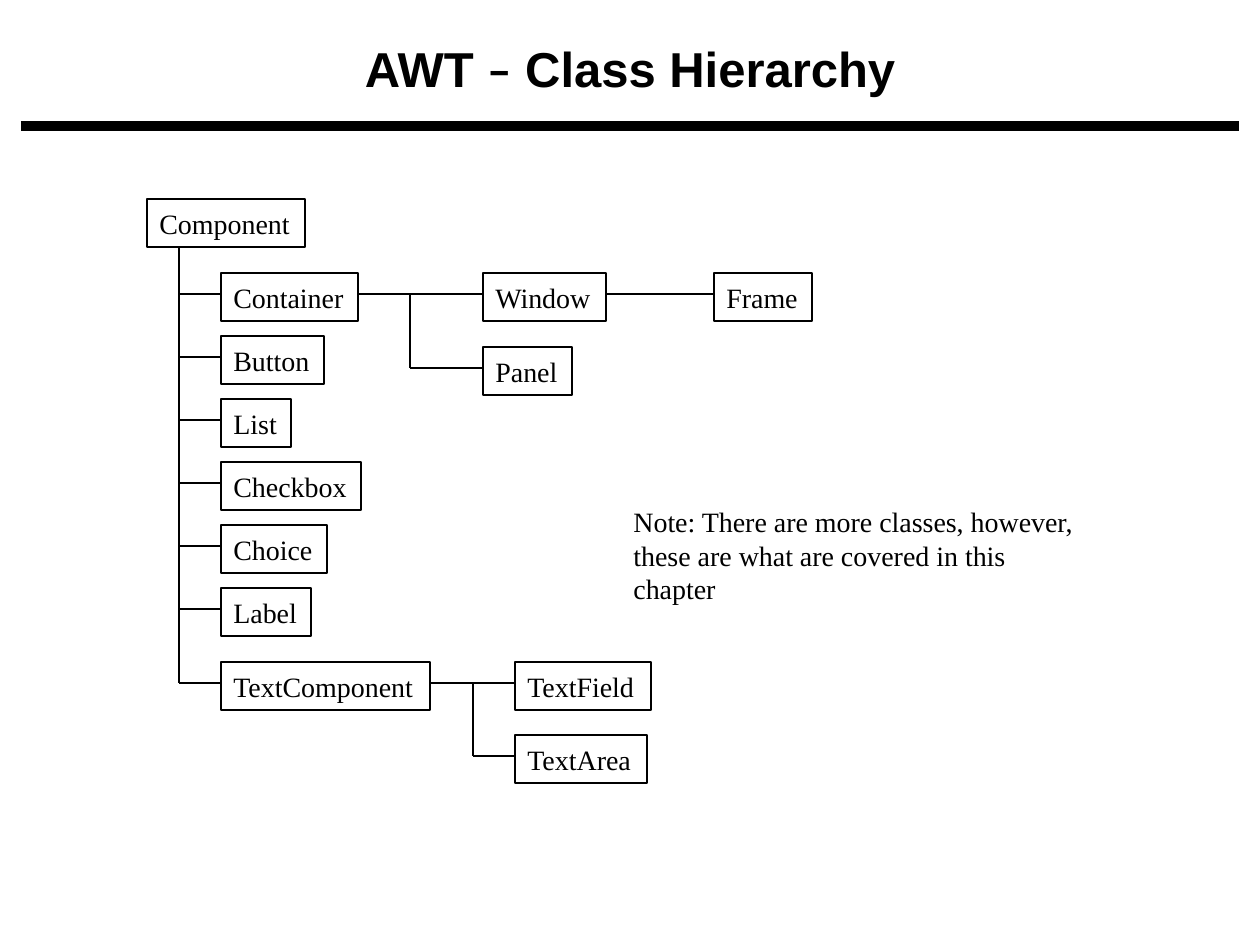
from pptx import Presentation
from pptx.dml.color import RGBColor
from pptx.enum.shapes import MSO_CONNECTOR, MSO_SHAPE
from pptx.enum.text import MSO_ANCHOR, MSO_AUTO_SIZE, PP_ALIGN
from pptx.oxml.ns import qn
from pptx.util import Pt
from lxml.etree import SubElement

PX = 7257.14  # EMU per pixel at 126 pixels to the inch
BLACK, WHITE = "000000", "FFFFFF"
BODY_FONT = "Times New Roman"
BOX_HEIGHT, LINE_DROP = 48, 21

# Content
TITLE = [("AWT ", "Arial"), ("–", "Calibri"), (" Class Hierarchy", "Arial")]
NOTE = ["Note: There are more classes, however,",
        "these are what are covered in this chapter"]
CLASSES = {  # name: (left, top, width)
    "Component": (147, 199, 158),
    "Container": (221, 273, 137),
    "Button": (221, 336, 103),
    "List": (221, 399, 70),
    "Checkbox": (221, 462, 140),
    "Choice": (221, 525, 106),
    "Label": (221, 588, 90),
    "TextComponent": (221, 662, 209),
    "Window": (483, 273, 123),
    "Panel": (483, 347, 89),
    "Frame": (714, 273, 98),
    "TextField": (515, 662, 136),
    "TextArea": (515, 735, 132),
}
BRANCHES = [  # parent, x of the vertical trunk, children
    ("Component", 179, ["Container", "Button", "List", "Checkbox",
                        "Choice", "Label", "TextComponent"]),
    ("Container", 410, ["Window", "Panel"]),
    ("Window", 660, ["Frame"]),
    ("TextComponent", 473, ["TextField", "TextArea"]),
]


def px(*values):
    return [round(value * PX) for value in values]


def color(value):
    return RGBColor.from_string(value)


def add_line(x1, y1, x2, y2, width=0.75):
    line = slide.shapes.add_connector(MSO_CONNECTOR.STRAIGHT, *px(x1, y1, x2, y2))
    line.line.color.rgb = color(BLACK)
    line.line.width = Pt(width)
    SubElement(line._element.spPr, qn("a:effectLst"))


def set_text(shape, lines):
    frame = shape.text_frame
    frame.word_wrap = False
    frame.vertical_anchor = MSO_ANCHOR.MIDDLE
    frame.text = "\n".join(lines)
    for paragraph in frame.paragraphs:
        paragraph.alignment = PP_ALIGN.LEFT
        paragraph.font.name = BODY_FONT
        paragraph.font.size = Pt(16)
        paragraph.font.color.rgb = color(BLACK)


presentation = Presentation()
presentation.slide_width, presentation.slide_height = px(1260, 945)
slide = presentation.slides.add_slide(presentation.slide_layouts[6])

# Title and rule
title = slide.shapes.add_textbox(*px(105, 32, 1050, 72))
title.text_frame.word_wrap = True
title.text_frame.auto_size = MSO_AUTO_SIZE.SHAPE_TO_FIT_TEXT
paragraph = title.text_frame.paragraphs[0]
paragraph.alignment = PP_ALIGN.CENTER
paragraph.space_before = Pt(16.6)
paragraph.font.size = Pt(28)
paragraph.font.bold = True
paragraph.font.color.rgb = color(BLACK)
for text, font in TITLE:
    run = paragraph.add_run()
    run.text = text
    run.font.name = font
add_line(21, 126, 1239, 126, 6)

# Branch lines, behind the boxes
for parent, trunk, children in BRANCHES:
    left, top, width = CLASSES[parent]
    start = top + LINE_DROP
    ends = [CLASSES[child][1] + LINE_DROP for child in children]
    if ends[-1] != start:
        add_line(trunk, start, trunk, ends[-1])
    for child, y in zip(children, ends):
        add_line(left + width if y == start else trunk, y, CLASSES[child][0], y)

# Class boxes
for name, (left, top, width) in CLASSES.items():
    box = slide.shapes.add_shape(MSO_SHAPE.RECTANGLE,
                                 *px(left, top, width, BOX_HEIGHT))
    box.shadow.inherit = False
    box.fill.solid()
    box.fill.fore_color.rgb = color(WHITE)
    box.line.color.rgb = color(BLACK)
    box.line.width = Pt(0.75)
    set_text(box, [name])

# Note
note = slide.shapes.add_textbox(*px(621, 515, 486, 80))
set_text(note, NOTE)

presentation.save("out.pptx")
